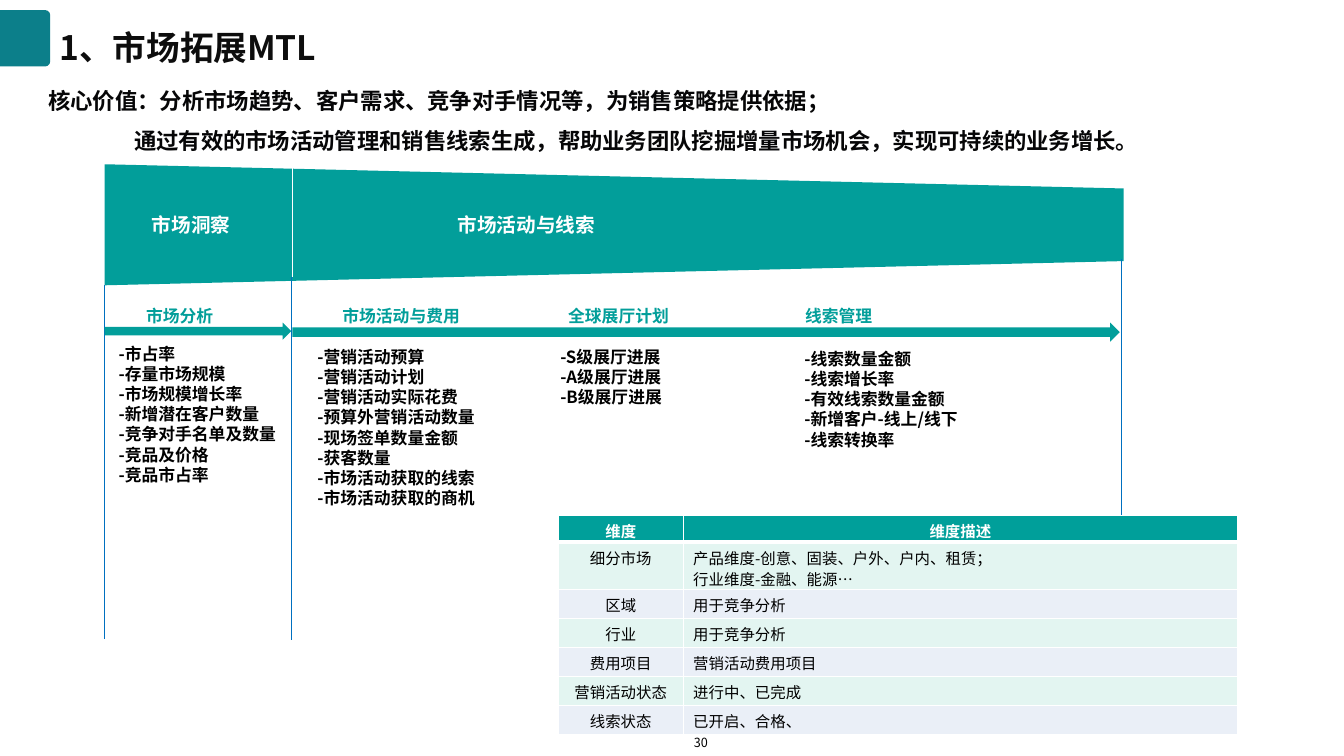
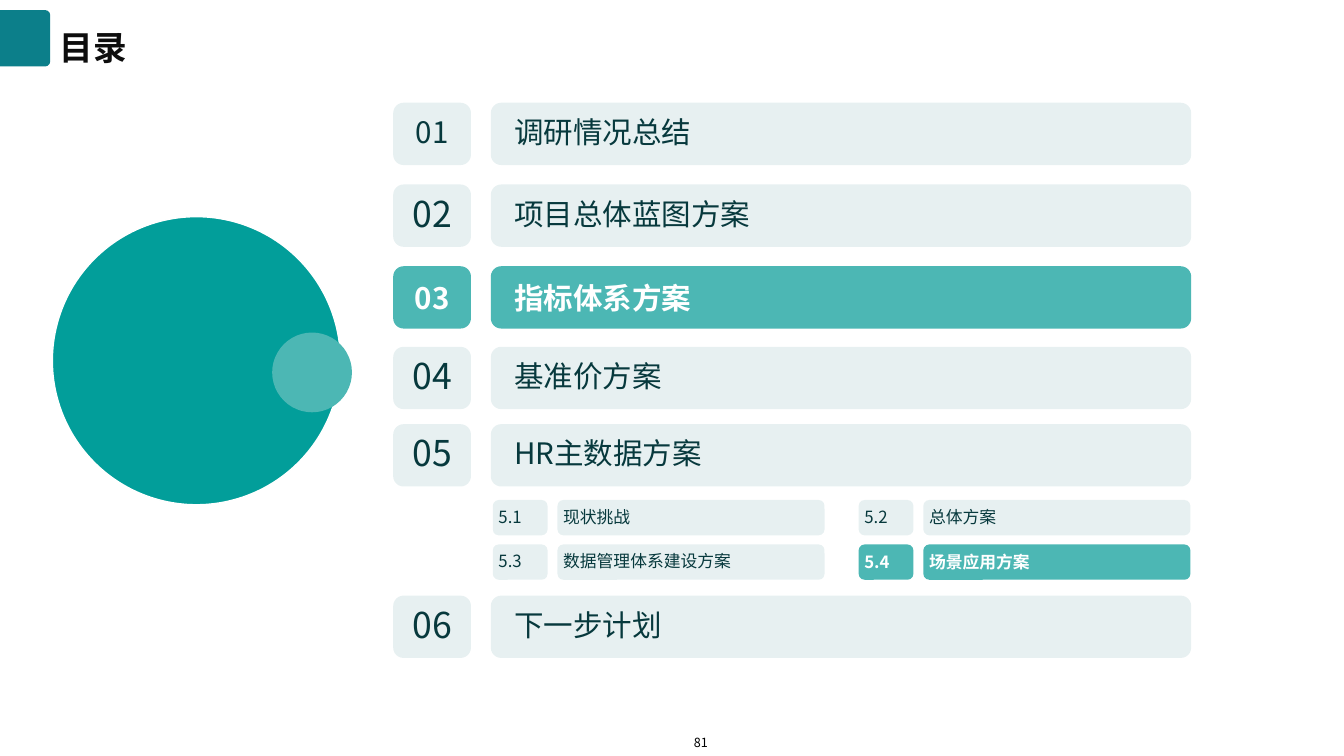
import pptx
import pptx.util
import pptx.dml.color
import pptx.enum.shapes
import pptx.enum.text
import pptx.oxml
import pptx.oxml.ns

Cm = pptx.util.Cm
Pt = pptx.util.Pt
SHAPE = pptx.enum.shapes.MSO_SHAPE
ALIGN = pptx.enum.text.PP_ALIGN
ANCHOR = pptx.enum.text.MSO_ANCHOR
qn = pptx.oxml.ns.qn

FONT = "Noto Sans CJK SC"
COLORS = {
    "white": "FFFFFF", "black": "000000", "title": "0D0D0D", "intro": "060607",
    "tab": "0C7F8A", "teal": "029E9A", "active": "4CB7B4", "pale": "1A757E",
    "ink": "07393D", "guide": "0070C0", "head": "009F9A",
    "mint": "E3F5F1", "mist": "EAEFF7",
}

LABELS = [("市场洞察", 3.58, 2.79), ("市场活动与线索", 11.28, 5.64)]
HEADINGS = [("市场活动与费用", 8.38), ("全球展厅计划", 14.07), ("线索管理", 20.04)]
METRICS = [
    (2.74, 8.53, 5.36, ["-市占率", "-存量市场规模", "-市场规模增长率", "-新增潜在客户数量",
                        "-竞争对手名单及数量", "-竞品及价格", "-竞品市占率"]),
    (7.75, 8.61, 5.08, ["-营销活动预算", "-营销活动计划", "-营销活动实际花费",
                        "-预算外营销活动数量", "-现场签单数量金额", "-获客数量",
                        "-市场活动获取的线索", "-市场活动获取的商机"]),
    (13.87, 8.61, 5.08, ["-S级展厅进展", "-A级展厅进展", "-B级展厅进展"]),
    (20.02, 8.66, 4.57, ["-线索数量金额", "-线索增长率", "-有效线索数量金额",
                         "-新增客户-线上/线下", "-线索转换率"]),
]
DIMENSIONS = [
    ("维度", "维度描述"),
    ("细分市场", "产品维度-创意、固装、户外、户内、租赁；\n行业维度-金融、能源…"),
    ("区域", "用于竞争分析"),
    ("行业", "用于竞争分析"),
    ("费用项目", "营销活动费用项目"),
    ("营销活动状态", "进行中、已完成"),
    ("线索状态", "已开启、合格、"),
]
CHAPTERS = [
    ("01", "调研情况总结", 2.59, 21.1), ("02", "项目总体蓝图方案", 4.65, 25.4),
    ("03", "指标体系方案", 6.71, 21.1), ("04", "基准价方案", 8.74, 25.4),
    ("05", "HR主数据方案", 10.69, 25.4), ("06", "下一步计划", 15.01, 25.4),
]
SECTIONS = [("5.1", "现状挑战"), ("5.2", "总体方案"),
            ("5.3", "数据管理体系建设方案"), ("5.4", "场景应用方案")]
ACTIVE = {"03", "5.4"}


def rgb(name):
    return pptx.dml.color.RGBColor.from_string(COLORS[name])


def write(frame, text, size, color, bold=False, align=ALIGN.LEFT, spacing=None):
    frame.text = text
    for para in frame.paragraphs:
        para.alignment = align
        para.line_spacing = spacing or Pt(round(size * 1.2, 1))
        for span in para.runs:
            span.font.size = Pt(size)
            span.font.bold = bold
            span.font.name = FONT
            span.font.color.rgb = rgb(color)
            east = pptx.oxml.parse_xml(
                f'<a:ea {pptx.oxml.ns.nsdecls("a")} typeface="{FONT}"/>')
            span.font._element.find(qn("a:latin")).addnext(east)


def set_insets(frame, left, top, right, bottom):
    frame.margin_left, frame.margin_top = Cm(left), Cm(top)
    frame.margin_right, frame.margin_bottom = Cm(right), Cm(bottom)


def add_text(page, left, top, width, height, text, size, color, **style):
    box = page.shapes.add_textbox(Cm(left), Cm(top), Cm(width), Cm(height))
    frame = box.text_frame
    frame.word_wrap = True
    write(frame, text, size, color, **style)
    return frame


def paint(shape, color, alpha=None):
    shape.shadow.inherit = False
    shape.fill.solid()
    shape.fill.fore_color.rgb = rgb(color)
    shape.line.fill.background()
    if alpha:
        tint = shape._element.spPr.find(qn("a:solidFill"))[0]
        tint.append(pptx.oxml.parse_xml(
            f'<a:alpha {pptx.oxml.ns.nsdecls("a")} val="{alpha * 1000}"/>'))


def add_shape(page, kind, left, top, width, height, color, alpha=None):
    shape = page.shapes.add_shape(kind, Cm(left), Cm(top), Cm(width), Cm(height))
    paint(shape, color, alpha)
    return shape


def add_vertical(page, x, top, bottom, color):
    line = page.shapes.add_connector(
        pptx.enum.shapes.MSO_CONNECTOR.STRAIGHT, Cm(x), Cm(top), Cm(x), Cm(bottom))
    line.line.color.rgb = rgb(color)
    line.line.width = Pt(0.75)
    line._element.spPr.append(pptx.oxml.parse_xml(
        f'<a:effectLst {pptx.oxml.ns.nsdecls("a")}/>'))


def add_page(deck, title, number):
    page = deck.slides.add_slide(deck.slide_layouts[6])
    tab = add_shape(page, SHAPE.ROUND_2_SAME_RECTANGLE, -0.08, 0.33, 1.42, 1.27, "tab")
    tab.rotation = 90
    tab.adjustments[0] = 0.1
    heading = add_text(page, 1.5, 0.25, 29.51, 1.42, title, 24, "title",
                       bold=True, spacing=Pt(41))
    set_insets(heading, 0, 0, 0, 0)
    heading.vertical_anchor = ANCHOR.MIDDLE
    footer = add_text(page, 16.89, 18.39, 1.55, 0.64, number, 9, "black",
                      align=ALIGN.CENTER)
    set_insets(footer, 0.1, 0.13, 0.1, 0.13)
    return page


def add_funnel(page):
    builder = page.shapes.build_freeform(Cm(2.64), Cm(7.19))
    corners = [(28.32, 6.58), (28.32, 4.75), (2.64, 4.14)]
    builder.add_line_segments([(Cm(x), Cm(y)) for x, y in corners], close=True)
    paint(builder.convert_to_shape(), "teal")


def set_borders(cell, bottom):
    for side, width in (("L", 1), ("R", 1), ("T", 1), ("B", bottom)):
        cell._tc.get_or_add_tcPr().append(pptx.oxml.parse_xml(
            f'<a:ln{side} {pptx.oxml.ns.nsdecls("a")} w="{Pt(width)}"><a:solidFill>'
            f'<a:srgbClr val="{COLORS["white"]}"/></a:solidFill></a:ln{side}>'))


def add_dimension_table(page):
    widths = [3.15, 13.97]
    heights = [0.68, 1.18] + [0.73] * 5
    table = page.shapes.add_table(len(heights), len(widths), Cm(14.07), Cm(12.98),
                                  Cm(sum(widths)), Cm(sum(heights))).table
    for column, width in zip(table.columns, widths):
        column.width = Cm(width)
    for r, (height, texts) in enumerate(zip(heights, DIMENSIONS)):
        table.rows[r].height = Cm(height)
        header = r == 0
        fill = "head" if header else ("mist", "mint")[r % 2]
        for c, text in enumerate(texts):
            cell = table.cell(r, c)
            set_borders(cell, 3 if header else 1)
            cell.fill.solid()
            cell.fill.fore_color.rgb = rgb(fill)
            set_insets(cell, 0.25, 0.13, 0.25, 0)
            write(cell.text_frame, text, 11, "white" if header else "black", bold=header,
                  align=ALIGN.CENTER if header or c == 0 else ALIGN.LEFT,
                  spacing=Pt(15.2))


def add_tile(page, left, top, width, height, text, size, active, inset,
             align=ALIGN.LEFT):
    tile = add_shape(page, SHAPE.ROUNDED_RECTANGLE, left, top, width, height,
                     "active" if active else "pale", None if active else 10)
    frame = tile.text_frame
    frame.word_wrap = True
    frame.vertical_anchor = ANCHOR.MIDDLE
    set_insets(frame, inset, 0, 0, 0)
    write(frame, text, size, "white" if active else "ink", bold=active, align=align,
          spacing=1.0 if active else 0.9)


def build_market_page(deck):
    page = add_page(deck, "1、市场拓展MTL", "30")
    add_funnel(page)
    for text, left, width in LABELS:
        add_text(page, left, 5.23, width, 0.86, text, 14, "white", bold=True)
    for x, top, bottom, color in [(7.37, 4.14, 6.99, "white"), (7.34, 6.99, 16.13, "guide"),
                                  (2.64, 7.19, 16.1, "guide"), (28.27, 6.53, 15.67, "guide")]:
        add_vertical(page, x, top, bottom, color)
    add_shape(page, SHAPE.RIGHT_ARROW, 2.64, 8.13, 4.7, 0.43, "teal")
    add_shape(page, SHAPE.RIGHT_ARROW, 7.37, 8.13, 20.85, 0.48, "teal")
    add_text(page, 2.69, 7.59, 3.68, 0.76, "市场分析", 12, "teal", bold=True,
             align=ALIGN.CENTER)
    for text, left in HEADINGS:
        add_text(page, left, 7.59, 3.68, 0.76, text, 12, "teal", bold=True)
    for left, top, width, items in METRICS:
        add_text(page, left, top, width, 0.25 + 0.51 * len(items), "\n".join(items),
                 12, "black", bold=True)
    intro = add_text(
        page, 0.97, 1.75, 32.23, 2.31,
        "核心价值：分析市场趋势、客户需求、竞争对手情况等，为销售策略提供依据；\n"
        "通过有效的市场活动管理和销售线索生成，帮助业务团队挖掘增量市场机会，实现可持续的业务增长。",
        16, "intro", bold=True, spacing=Pt(28.6))
    intro.paragraphs[1]._p.get_or_add_pPr().set("marL", str(Cm(2.16)))
    add_dimension_table(page)


def build_contents_page(deck):
    page = add_page(deck, "目录", "81")
    disc = add_shape(page, SHAPE.OVAL, 1.32, 5.46, 7.26, 7.26, "teal")
    disc.line.color.rgb = rgb("white")
    disc.line.width = Pt(1)
    add_shape(page, SHAPE.OVAL, 6.86, 8.38, 2.01, 2.01, "active")
    for number, text, top, size in CHAPTERS:
        active = number in ACTIVE
        add_tile(page, 9.91, top, 1.96, 1.57, number, size, active, 0, ALIGN.CENTER)
        add_tile(page, 12.37, top, 17.65, 1.57, text, 21.1, active, 0.51)
    for index, (number, text) in enumerate(SECTIONS):
        row, column = divmod(index, 2)
        left, top = 12.42 + 9.22 * column, 12.6 + 1.12 * row
        active = number in ACTIVE
        add_tile(page, left, top, 1.38, 0.89, number, 12, active, 0.1)
        add_tile(page, left + 1.63, top, 6.73, 0.89, text, 12, active, 0.1)


def main():
    deck = pptx.Presentation()
    deck.slide_width, deck.slide_height = Cm(33.87), Cm(19.05)
    build_market_page(deck)
    build_contents_page(deck)
    deck.save("out.pptx")


if __name__ == "__main__":
    main()
